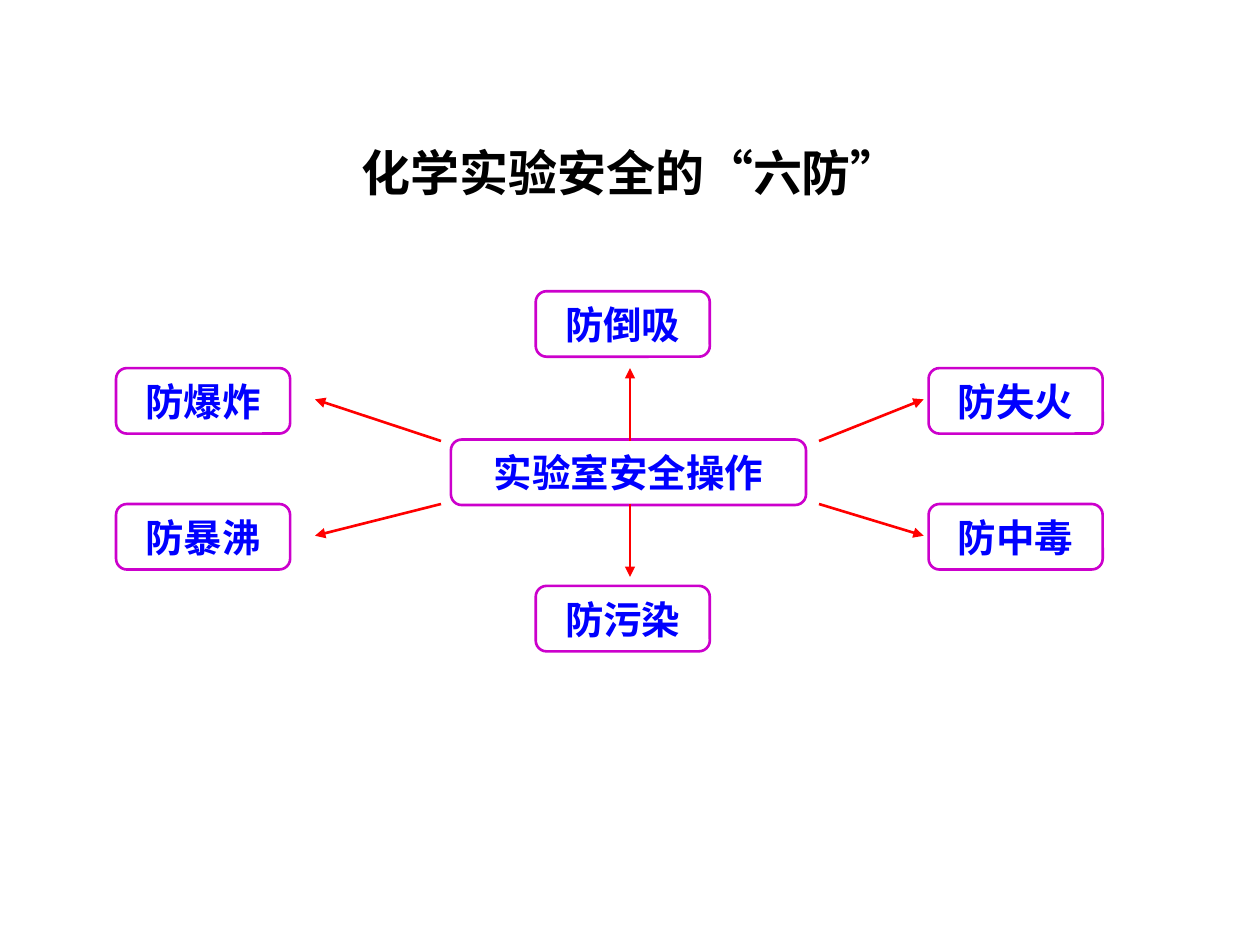
from pptx import Presentation
from pptx.dml.color import RGBColor
from pptx.enum.shapes import MSO_CONNECTOR, MSO_SHAPE
from pptx.enum.text import MSO_ANCHOR, MSO_AUTO_SIZE, PP_ALIGN
from pptx.oxml.ns import qn
from pptx.util import Cm, Pt
from lxml.etree import SubElement

BLACK = RGBColor(0x00, 0x00, 0x00)
BLUE = RGBColor(0x00, 0x00, 0xFF)
PURPLE = RGBColor(0xCC, 0x00, 0xCC)
RED = RGBColor(0xFF, 0x00, 0x00)

FRAME_FORMAT = {
    "word_wrap": True,
    "auto_size": MSO_AUTO_SIZE.SHAPE_TO_FIT_TEXT,
    "vertical_anchor": MSO_ANCHOR.MIDDLE,
    "margin_left": Cm(0.25),
    "margin_right": Cm(0.25),
    "margin_top": Cm(0.13),
    "margin_bottom": Cm(0.13),
}
TITLE_FONT = {"name": "Arial", "size": Pt(28), "bold": True}
BOX_FONT = {"name": "Arial", "size": Pt(22), "bold": True}

BOX_WIDTH, BOX_HEIGHT = 3.51, 1.32
LEFT, MIDDLE, RIGHT = 2.34, 10.8, 18.72
UPPER, LOWER = 7.42, 10.16
HUB_TOP, HUB_BOTTOM = 8.89, 10.16

PRECAUTIONS = [
    ("防爆炸", LEFT, UPPER),
    ("防暴沸", LEFT, LOWER),
    ("防失火", RIGHT, UPPER),
    ("防中毒", RIGHT, LOWER),
    ("防倒吸", MIDDLE, 5.87),
    ("防污染", MIDDLE, 11.81),
]
ARROW_COLUMNS = [
    (12.7, 12.7, 7.42, 11.63),
    (16.51, 18.62, 8.05, 10.8),
    (8.89, 6.35, 8.05, 10.8),
]


def apply_format(target, values):
    """Set every attribute in values on the target."""
    for name, value in values.items():
        setattr(target, name, value)


def write_text(shape, text, font_format, color):
    """Write one centred, formatted paragraph into a shape."""
    shape.text_frame.text = text
    apply_format(shape.text_frame, FRAME_FORMAT)
    paragraph = shape.text_frame.paragraphs[0]
    paragraph.alignment = PP_ALIGN.CENTER
    apply_format(paragraph.runs[0].font, font_format)
    paragraph.runs[0].font.color.rgb = color


def set_title(slide, text):
    """Move and fill the title placeholder."""
    title = slide.shapes.title
    apply_format(title, {"left": Cm(4.88), "top": Cm(2.74),
                         "width": Cm(15.67), "height": Cm(1.45)})
    write_text(title, text, TITLE_FONT, BLACK)


def add_box(slide, text, left, top, width=BOX_WIDTH):
    """Add an outlined rounded box with a label."""
    box = slide.shapes.add_shape(
        MSO_SHAPE.FLOWCHART_ALTERNATE_PROCESS,
        Cm(left), Cm(top), Cm(width), Cm(BOX_HEIGHT))
    box.shadow.inherit = False
    box.fill.background()
    box.line.color.rgb = PURPLE
    box.line.width = Pt(1.5)
    write_text(box, text, BOX_FONT, BLUE)


def add_arrow(slide, start_x, start_y, end_x, end_y):
    """Add a red line with a triangle at its end."""
    arrow = slide.shapes.add_connector(
        MSO_CONNECTOR.STRAIGHT,
        Cm(start_x), Cm(start_y), Cm(end_x), Cm(end_y))
    arrow.line.color.rgb = RED
    arrow.line.width = Pt(1.5)
    SubElement(arrow.line._get_or_add_ln(), qn("a:tailEnd"), type="triangle")
    SubElement(arrow._element.spPr, qn("a:effectLst"))


def main():
    """Build the slide and save it."""
    presentation = Presentation()
    presentation.slide_width = Cm(25.4)
    presentation.slide_height = Cm(19.05)
    slide = presentation.slides.add_slide(presentation.slide_layouts[5])
    set_title(slide, "化学实验安全的“六防”")
    for text, left, top in PRECAUTIONS:
        add_box(slide, text, left, top)
    add_box(slide, "实验室安全操作", 9.09, 8.86, width=7.16)
    for start_x, end_x, upper_y, lower_y in ARROW_COLUMNS:
        add_arrow(slide, start_x, HUB_TOP, end_x, upper_y)
        add_arrow(slide, start_x, HUB_BOTTOM, end_x, lower_y)
    presentation.save("out.pptx")


if __name__ == "__main__":
    main()
